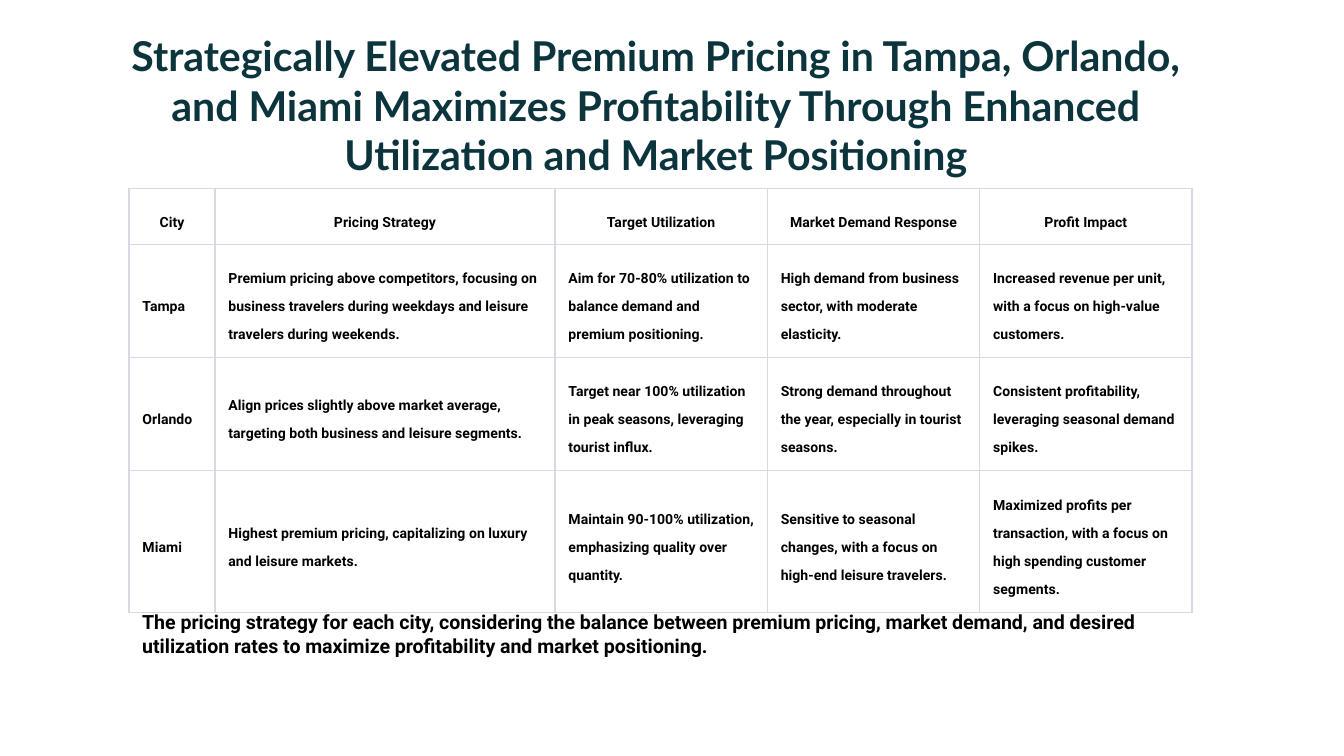
"""Build a slide with a table of premium pricing strategy by city."""
from pptx import Presentation
from pptx.dml.color import RGBColor
from pptx.enum.text import PP_ALIGN as Align, MSO_ANCHOR as Anchor
from pptx.oxml import parse_xml
from pptx.oxml.ns import nsdecls
from pptx.util import Inches, Pt


def write(frame, text, size, font, color, align=Align.LEFT):
    frame.word_wrap = True
    para = frame.paragraphs[0]
    para.alignment = align
    run = para.add_run()
    run.text = text
    run.font.size = Pt(size)
    run.font.name = font
    run.font.bold = True
    run.font.color.rgb = RGBColor.from_string(color)
    return para


def add_text(box, *style):
    frame = slide.shapes.add_textbox(*map(Inches, box)).text_frame
    frame.margin_left = frame.margin_right = Inches(0.1)
    frame.margin_top = frame.margin_bottom = Inches(0.1)
    write(frame, *style)


deck = Presentation()
deck.slide_width, deck.slide_height = Inches(10), Inches(10 * 9 / 16)
slide = deck.slides.add_slide(deck.slide_layouts[6])

add_text((0.84, 0.13, 8.08, 1.2),
         "Strategically Elevated Premium Pricing in Tampa, Orlando, and Miami "
         "Maximizes Profitability Through Enhanced Utilization and Market Positioning",
         22, "Lato", "0C343D", Align.CENTER)

rows = [
    ("City", "Pricing Strategy", "Target Utilization",
     "Market Demand Response", "Profit Impact"),
    ("Tampa",
     "Premium pricing above competitors, focusing on business travelers "
     "during weekdays and leisure travelers during weekends.",
     "Aim for 70-80% utilization to balance demand and premium positioning.",
     "High demand from business sector, with moderate elasticity.",
     "Increased revenue per unit, with a focus on high-value customers."),
    ("Orlando",
     "Align prices slightly above market average, targeting both business "
     "and leisure segments.",
     "Target near 100% utilization in peak seasons, leveraging tourist influx.",
     "Strong demand throughout the year, especially in tourist seasons.",
     "Consistent profitability, leveraging seasonal demand spikes."),
    ("Miami",
     "Highest premium pricing, capitalizing on luxury and leisure markets.",
     "Maintain 90-100% utilization, emphasizing quality over quantity.",
     "Sensitive to seasonal changes, with a focus on high-end leisure travelers.",
     "Maximized profits per transaction, with a focus on high spending "
     "customer segments."),
]
widths = [0.64, 2.53, 1.58, 1.58, 1.58]
height = 0.42

holder = slide.shapes.add_table(
    len(rows), len(widths), Inches(0.96), Inches(1.4),
    Inches(sum(widths)), Inches(height * len(rows)))
table = holder.table
table.horz_banding = False
for col, width in zip(table.columns, widths):
    col.width = Inches(width)

for r, row in enumerate(rows):
    table.rows[r].height = Inches(height)
    for c, text in enumerate(row):
        cell = table.cell(r, c)
        cell.margin_left = cell.margin_right = Inches(0.1)
        cell.margin_top = cell.margin_bottom = Inches(0.1)
        cell.vertical_anchor = Anchor.MIDDLE if r else Anchor.BOTTOM
        para = write(cell.text_frame, text, 7.5, "Roboto", "000000",
                     Align.LEFT if r else Align.CENTER)
        para.line_spacing = 1.71
        props = cell._tc.get_or_add_tcPr()
        for side in ("lnL", "lnR", "lnT", "lnB"):
            props.append(parse_xml(
                f'<a:{side} {nsdecls("a")} w="{Pt(0.75)}"><a:solidFill>'
                f'<a:srgbClr val="D9D9E3"/></a:solidFill></a:{side}>'))
        cell.fill.background()
holder.width = holder.height = Inches(3.28)

add_text((0.96, 4.44, 7.92, 0.56),
         "The pricing strategy for each city, considering the balance between "
         "premium pricing, market demand, and desired utilization rates to "
         "maximize profitability and market positioning.",
         10.5, "Roboto", "000000")

deck.save("out.pptx")
